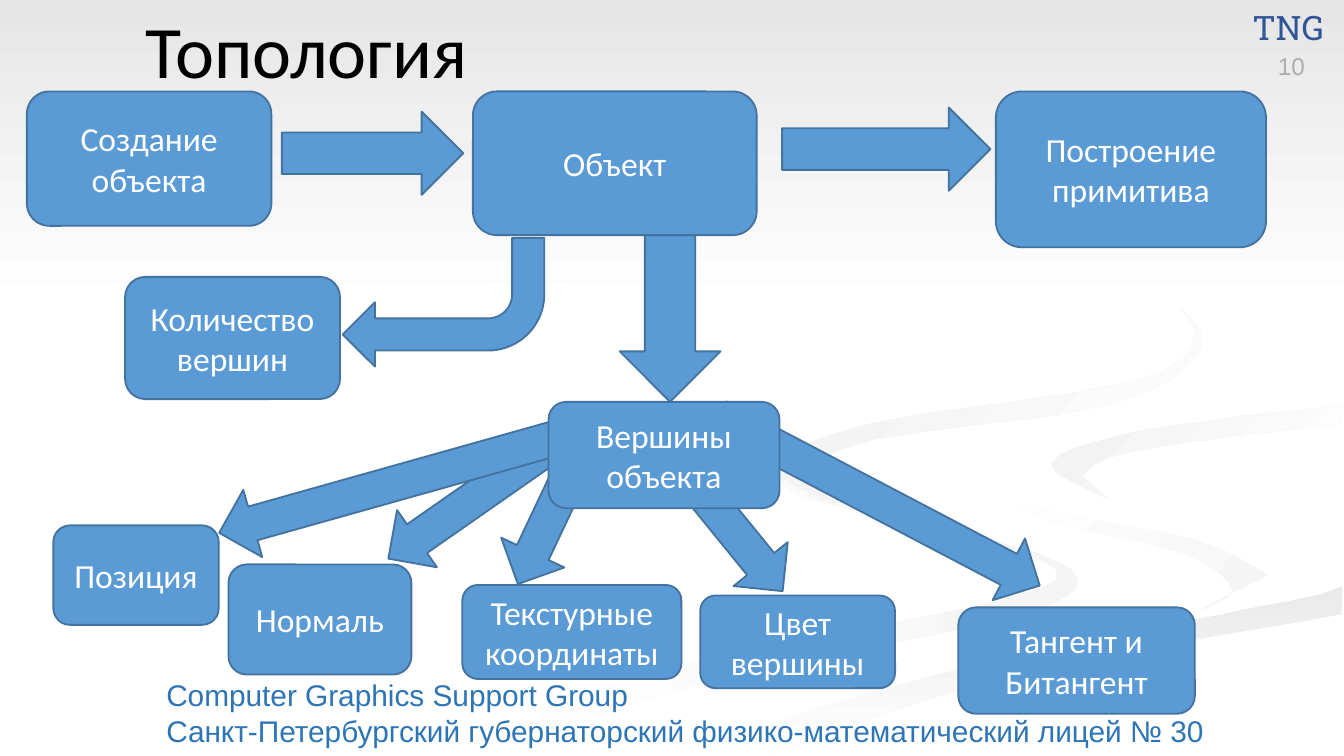
from pptx import Presentation
from pptx.dml.color import RGBColor
from pptx.enum.shapes import MSO_SHAPE
from pptx.enum.text import MSO_ANCHOR, MSO_AUTO_SIZE, PP_ALIGN
from pptx.util import Pt

COLORS = {
    "box": "5B9BD5", "edge": "43739E", "white": "FFFFFF", "black": "000000",
    "footer": "2E75B6", "label": "2F5597", "number": "AFABAB", "top": "E7E6E6",
    "pale": "F5F5F5", "light": "F1F1F1", "soft": "EDEDED", "mid": "EAEAEA",
}


def rgb(name):
    return RGBColor.from_string(COLORS[name])


def write(sp, text, size=18, font="Calibri", color="white", align=PP_ALIGN.LEFT,
          anchor=MSO_ANCHOR.TOP, wrap=True, spacing=None, auto=MSO_AUTO_SIZE.NONE):
    tf = sp.text_frame
    tf.word_wrap = wrap
    tf.auto_size = auto
    tf.vertical_anchor = anchor
    for i, line in enumerate(text.split("\n")):
        p = tf.add_paragraph() if i else tf.paragraphs[0]
        p.alignment = align
        p.line_spacing = spacing
        r = p.add_run()
        r.text = line
        r.font.size = Pt(size)
        r.font.name = font
        r.font.color.rgb = rgb(color)


prs = Presentation()
prs.slide_width, prs.slide_height = Pt(720), Pt(405)
s = prs.slides.add_slide(prs.slide_layouts[6])

bend = [(943, 428), (889, 401), (775, 378), (725, 348)]
hook = [(999, 302), (850, 320), (782, 345)]
shore = [(999, 436), (904, 458), (766, 485), (630, 520), (504, 562)]
ribbons = [
    ("white", "pale", 0,
     [(575, 344), (593, 368), (697, 394), (786, 424), (727, 451), (499, 496), (300, 562)],
     [(361, 562), (532, 506), (740, 463), (801, 436), (768, 410), (642, 380), (575, 344)]),
    ("white", "pale", 45, bend,
     [(725, 356), (781, 388), (881, 412), (917, 439), (894, 453), (943, 428)]),
    ("mid", "white", 90, shore, [(572, 562), (695, 519), (821, 488), (998, 457)]),
    ("white", "white", 0,
     [(477, 562), (663, 501), (813, 469), (912, 450)] + bend + [(755, 324), (830, 311), (999, 290)],
     hook + [(804, 364), (904, 389), (999, 404)] + shore),
    ("light", "white", 45, hook + [(826, 372)],
     [(805, 354), (843, 336), (998, 315)]),
    ("soft", "white", 45,
     [(763, 175), (855, 214), (889, 251), (842, 284), (649, 315), (577, 347), (622, 375)],
     [(594, 353), (650, 327), (825, 301), (894, 258), (854, 212), (763, 175)]),
    ("top", "white", 90, [(0, 0), (0, 231)], [(1000, 231), (1000, 0)]),
]
for start, end, angle, *edges in ribbons:
    curve = []
    for edge in edges:
        ends = [edge[0], *edge, edge[-1]]
        for a, b, c, d in zip(ends, ends[1:], ends[2:], ends[3:]):
            for t in (0, 0.25, 0.5, 0.75):
                curve.append(tuple(
                    b[k] + t * (c[k] - a[k]) / 2
                    + t ** 2 * (2 * a[k] - 5 * b[k] + 4 * c[k] - d[k]) / 2
                    + t ** 3 * (3 * b[k] - a[k] - 3 * c[k] + d[k]) / 2 for k in (0, 1)))
        curve.append(edge[-1])
    fb = s.shapes.build_freeform(*curve[0], scale=Pt(0.72))
    fb.add_line_segments(curve[1:], close=True)
    sp = fb.convert_to_shape()
    sp.shadow.inherit = False
    sp.line.fill.background()
    sp.fill.gradient()
    sp.fill.gradient_angle = 360 - angle
    for stop, name in zip(sp.fill.gradient_stops, (start, end)):
        stop.color.rgb = rgb(name)

FIT = MSO_AUTO_SIZE.SHAPE_TO_FIT_TEXT
texts = [
    ("TNG", (664, 0, 78, 29), dict(font="Roboto Slab", color="label", auto=FIT)),
    ("10", (677.5, 24, 31, 23),
     dict(size=13, font="Arial", color="number", wrap=False, auto=FIT)),
    ("Computer Graphics Support Group\n"
     "Санкт-Петербургский губернаторский физико-математический лицей № 30",
     (82, 359, 595, 37), dict(size=16, font="Arial", color="footer")),
    ("Топология", (71, 4, 599, 50.4),
     dict(size=39.6, color="black", anchor=MSO_ANCHOR.MIDDLE, spacing=0.9)),
]
for text, frame, fmt in texts:
    write(s.shapes.add_textbox(*map(Pt, frame)), text, **fmt)

fan = [(373.7, 249.8, 194.4, 207.7), (350, 265, 85, 230.9), (249.8, 250.6, 96.5, 295.3),
       (197.3, 246.2, 120.2, 325.1), (113.8, 240.5, 194.4, 344.3)]
blocks = [(MSO_SHAPE.LEFT_ARROW, (x, y, w, 37.4), turn, "") for x, y, w, turn in fan]
blocks += [
    (MSO_SHAPE.BENT_ARROW, (183.6, 127.4, 108, 69), 180, ""),
    (MSO_SHAPE.DOWN_ARROW, (332, 126, 54, 89.3), 0, ""),
    (MSO_SHAPE.RIGHT_ARROW, (151, 59.8, 97.2, 44.6), 0, ""),
    (MSO_SHAPE.RIGHT_ARROW, (419, 57.6, 111.6, 44.6), 0, ""),
]
boxes = {
    "Построение примитива": (533.5, 49, 144.7, 83.5),
    "Создание объекта": (14.4, 49, 131, 72),
    "Объект": (253.4, 49, 152, 77),
    "Количество вершин": (67, 148.3, 115.2, 65.5),
    "Вершины объекта": (293.8, 215.3, 123.8, 57),
    "Позиция": (28.6, 281.5, 88.6, 53.3),
    "Нормаль": (122.4, 302.4, 98, 59),
    "Текстурные координаты": (247.7, 313.4, 117.4, 50.4),
    "Цвет вершины": (375.1, 319, 104.4, 49.7),
    "Тангент и\nБитангент": (513.4, 325.4, 126.7, 57),
}
blocks += [(MSO_SHAPE.ROUNDED_RECTANGLE, frame, 0, text) for text, frame in boxes.items()]
for kind, frame, turn, text in blocks:
    sp = s.shapes.add_shape(kind, *map(Pt, frame))
    sp.rotation = turn
    sp.shadow.inherit = False
    sp.fill.solid()
    sp.fill.fore_color.rgb = rgb("box")
    sp.line.color.rgb = rgb("edge")
    sp.line.width = Pt(1)
    if text:
        write(sp, text, align=PP_ALIGN.CENTER, anchor=MSO_ANCHOR.MIDDLE)

prs.save("out.pptx")
